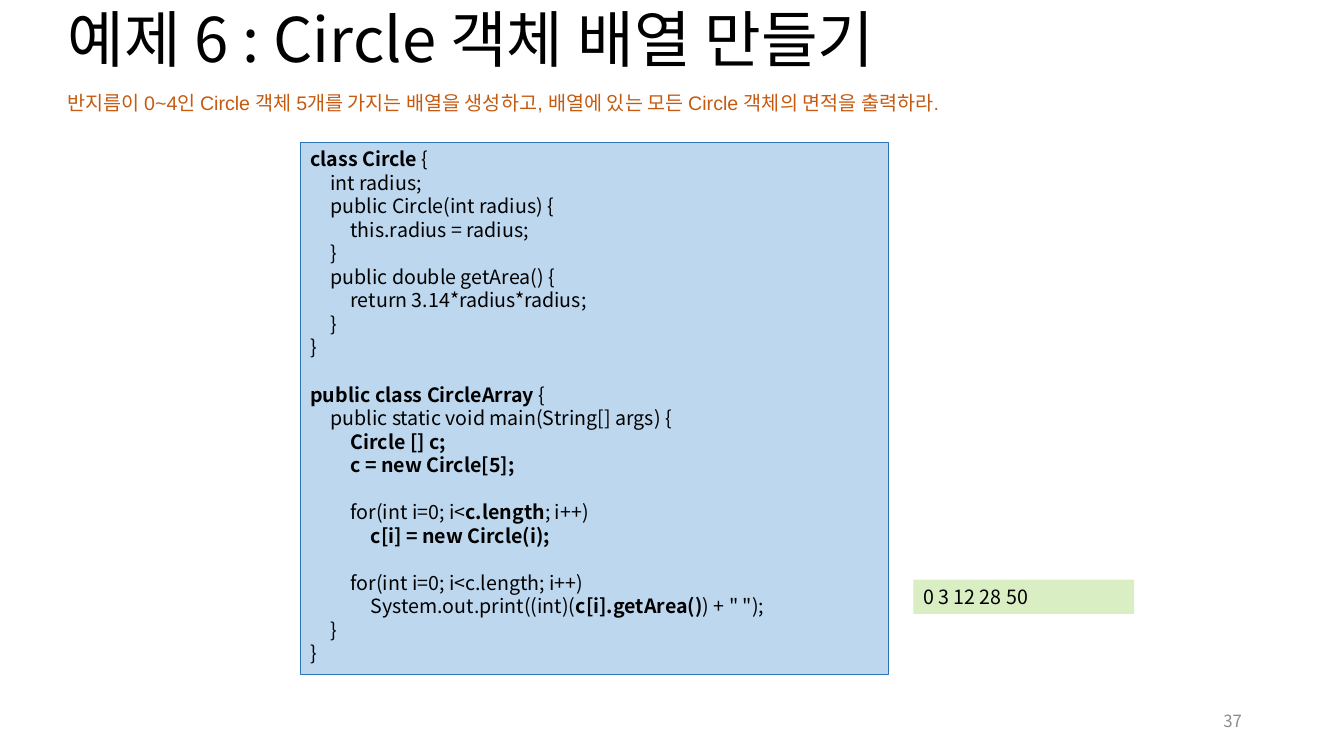
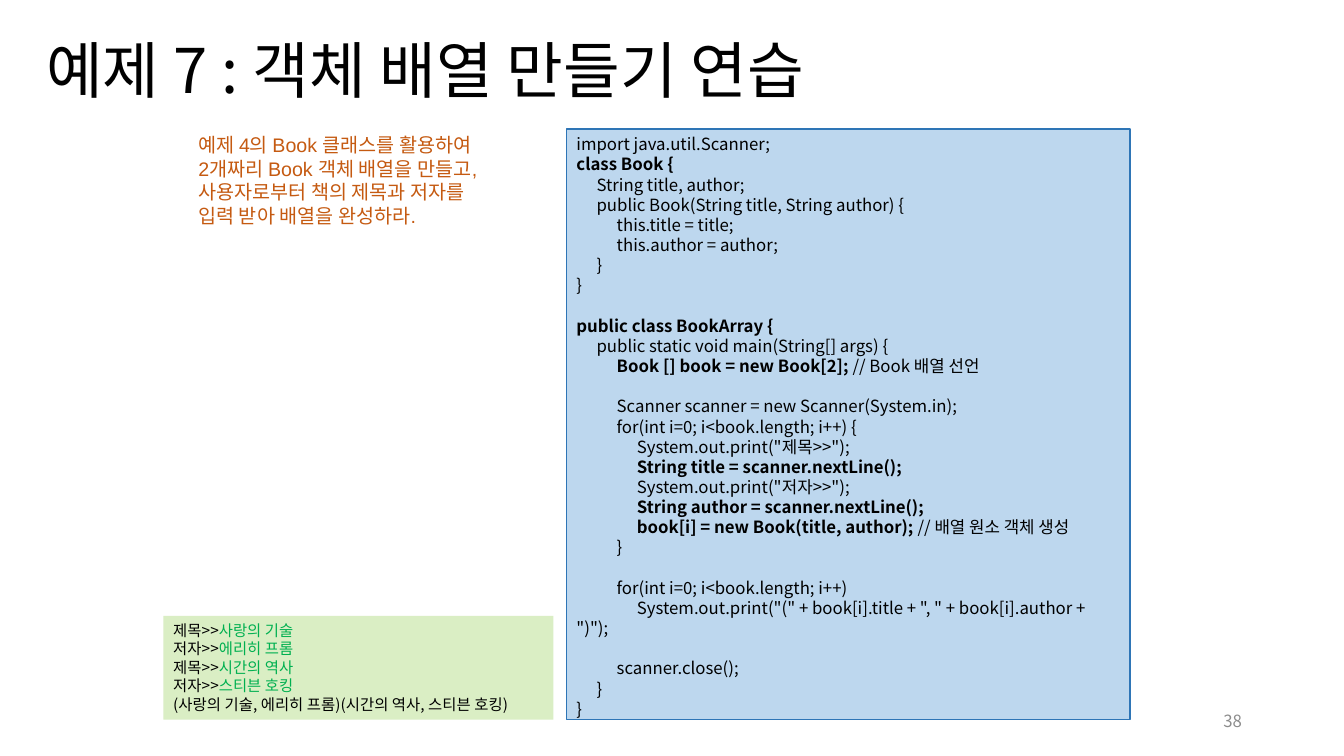
from lxml import etree
from pptx import Presentation
from pptx import util as u
from pptx.dml.color import RGBColor
from pptx.enum import shapes, text
from pptx.oxml.ns import qn

COLORS = {
    "ink": "000000", "task": "C55A11", "number": "8C8C8C", "input": "00B050",
    "code": "BDD7EE", "code_edge": "2E75B6", "output": "DAEEC4",
}
SANS, LATIN = "Noto Sans CJK KR", "Arial"
MARK = "**"  # encloses accented words
TAB_STEP = 0.2  # inches per level of code indent

CIRCLE_CLASS = """**class Circle **{
    int radius;
    public Circle(int radius) {
        this.radius = radius;
    }
    public double getArea() {
        return 3.14*radius*radius;
    }
}
"""

CIRCLE_MAIN = """**public class CircleArray **{
    public static void main(String[] args) {
        **Circle [] c;**
        **c = new Circle[5];**

        for(int i=0; i<**c.length**; i++)
            **c[i] = new Circle(i);**

        for(int i=0; i<c.length; i++)
            System.out.print((int)(**c[i].getArea()**) + " ");
    }
}"""

BOOK_CLASS = """import java.util.Scanner;
**class Book {**
    String title, author;
    public Book(String title, String author) {
        this.title = title;
        this.author = author;
    }
}
"""

BOOK_MAIN = """**public class BookArray {**
    public static void main(String[] args) {
        **Book [] book = new Book[2]; **// Book 배열 선언

        Scanner scanner = new Scanner(System.in);
        for(int i=0; i<book.length; i++) {
            System.out.print("제목>>");
            **String title = scanner.nextLine();**
            System.out.print("저자>>");
            **String author = scanner.nextLine();**
            **book[i] = new Book(title, author); **// 배열 원소 객체 생성
        }
"""

BOOK_PRINT = """        for(int i=0; i<book.length; i++)
            System.out.print("(" + book[i].title + ", " + book[i].author + ")");

        scanner.close();
    }
}"""

BOOK_TASK = """예제 4의 Book 클래스를 활용하여
2개짜리 Book 객체 배열을 만들고,
사용자로부터 책의 제목과 저자를
입력 받아 배열을 완성하라."""

BOOK_OUTPUT = """제목>>**사랑의 기술**
저자>>**에리히 프롬**
제목>>**시간의 역사**
저자>>**스티븐 호킹**
(사랑의 기술, 에리히 프롬)(시간의 역사, 스티븐 호킹)"""


def rgb(name):
    return RGBColor.from_string(COLORS[name])


def write(frame, content, *, size, font=SANS, color="ink", bold=False, accent=None,
          align=text.PP_ALIGN.LEFT, anchor=text.MSO_ANCHOR.TOP, spacing=None, tabs=0):
    """Write one paragraph per line; accent overrides the format of marked words."""
    frame.word_wrap = True
    frame.vertical_anchor = anchor
    plain = {"color": color, "bold": bold}
    for row, line in enumerate(content.split("\n")):
        paragraph = frame.paragraphs[0] if row == 0 else frame.add_paragraph()
        paragraph.alignment = align
        if spacing:
            paragraph.line_spacing = spacing
        if tabs:
            stops = etree.SubElement(paragraph._p.get_or_add_pPr(), qn("a:tabLst"))
            for level in range(1, tabs + 1):
                etree.SubElement(stops, qn("a:tab"), algn="l",
                                 pos=str(int(u.Inches(TAB_STEP * level))))
        for index, part in enumerate(line.split(MARK)):
            if not part:
                continue
            style = {**plain, **(accent or {})} if index % 2 else plain
            run = paragraph.add_run()
            run.text = part
            run.font.size = u.Pt(size)
            run.font.bold = style["bold"]
            run.font.color.rgb = rgb(style["color"])
            run.font.name = font
            etree.SubElement(run._r.get_or_add_rPr(), qn("a:ea"), typeface=SANS)
        if not line:  # an empty code line keeps the height of the others
            end = etree.SubElement(paragraph._p, qn("a:endParaRPr"), sz=str(size * 100))
            for script in ("a:latin", "a:ea"):
                etree.SubElement(end, qn(script), typeface=font)


class Lesson:
    """Holds the deck style and current slide; places are percentages of the slide."""

    def __init__(self):
        self.deck = Presentation()
        self.deck.slide_width, self.deck.slide_height = u.Inches(13.33), u.Inches(7.5)
        self.slide = None

    def place(self, left, top, width, height):
        wide, high = self.deck.slide_width, self.deck.slide_height
        return [u.Emu(round(side * share / 100)) for side, share in
                zip((wide, high, wide, high), (left, top, width, height))]

    def label(self, place, content, **style):
        box = self.slide.shapes.add_textbox(*self.place(*place))
        write(box.text_frame, content, **style)

    def panel(self, place, content, fill, edge=None, **style):
        box = self.slide.shapes.add_shape(shapes.MSO_SHAPE.RECTANGLE, *self.place(*place))
        box.shadow.inherit = False
        box.fill.solid()
        box.fill.fore_color.rgb = rgb(fill)
        if edge:
            box.line.color.rgb = rgb(edge)
            box.line.width = u.Pt(0.75)
        else:
            box.line.fill.background()
        write(box.text_frame, content, **style)

    def start(self, title, place, number):
        self.slide = self.deck.slides.add_slide(self.deck.slide_layouts[6])
        middle = text.MSO_ANCHOR.MIDDLE
        self.label(place, title, size=44, anchor=middle, spacing=0.9)
        self.label((70.65, 92.67, 22.5, 5.33), str(number), size=12, color="number",
                   align=text.PP_ALIGN.RIGHT, anchor=middle)

    def task(self, place, content):
        self.label(place, content, size=14, font=LATIN, color="task")

    def code(self, place, sections, size):
        content = "\n".join(sections).replace("    ", "\t")
        self.panel(place, content, "code", "code_edge",
                   size=size, accent={"bold": True}, tabs=3)

    def output(self, place, content, size):
        self.panel(place, content, "output", size=size, accent={"color": "input"})


def main():
    lesson = Lesson()

    # Example 6: array of circles
    lesson.start("예제 6 : Circle 객체 배열 만들기", (4.28, 0, 86.25, 11.33), 37)
    lesson.task((4.28, 11.33, 83.03, 4.53),
                "반지름이 0~4인 Circle 객체 5개를 가지는 배열을 생성하고, "
                "배열에 있는 모든 Circle 객체의 면적을 출력하라.")
    lesson.code((22.35, 18.8, 43.73, 70.4), (CIRCLE_CLASS, CIRCLE_MAIN), size=14)
    lesson.output((67.95, 76.67, 16.43, 4.53), "0 3 12 28 50", size=14)

    # Example 7: array of books
    lesson.start("예제 7 : 객체 배열 만들기 연습", (2.7, 0.13, 86.25, 19.33), 38)
    lesson.task((14.03, 16.93, 27.15, 13.87), BOOK_TASK)
    lesson.code((42.15, 17.07, 41.93, 78.13), (BOOK_CLASS, BOOK_MAIN, BOOK_PRINT), size=12)
    lesson.output((12.15, 81.47, 29.03, 13.73), BOOK_OUTPUT, size=11)

    lesson.deck.save("out.pptx")


if __name__ == "__main__":
    main()
